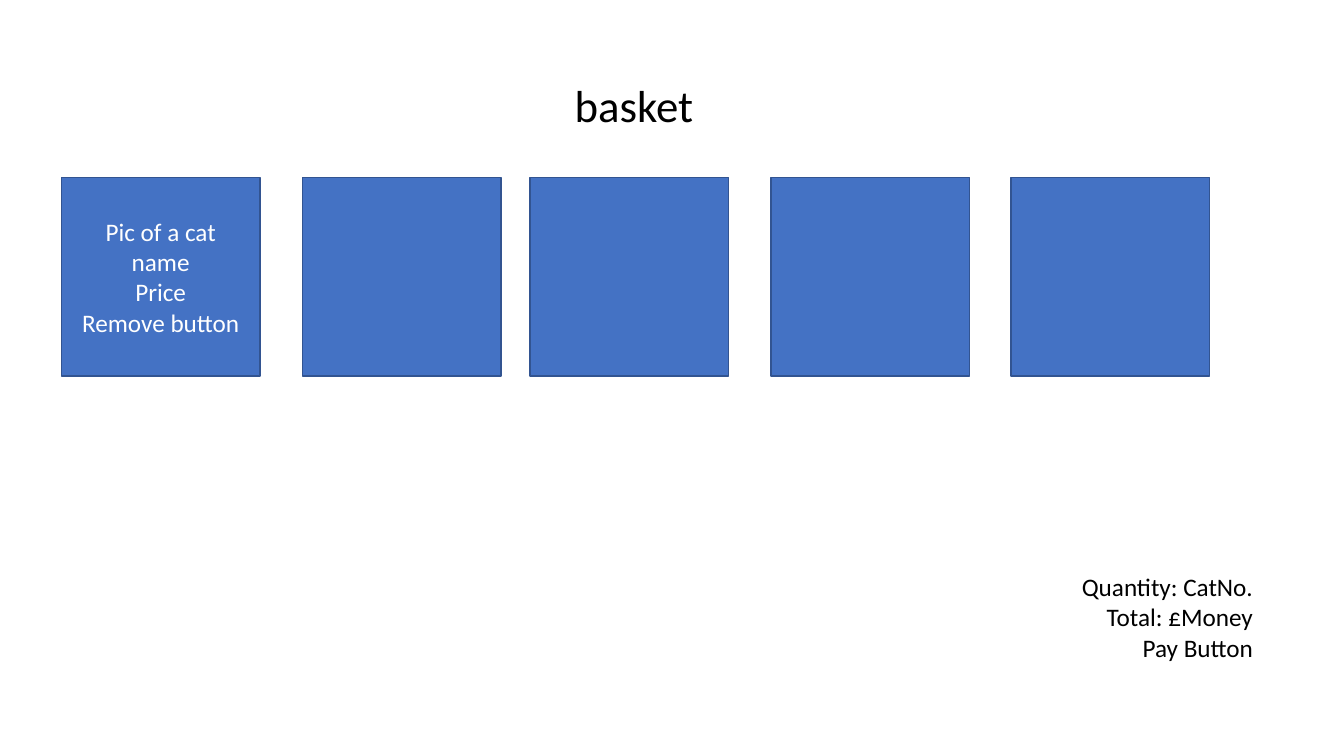
from pptx import Presentation
from pptx.dml.color import RGBColor
from pptx.enum import shapes, text
from pptx.util import Pt

FONT = "Calibri"
SIDE = 141.8
STEPS = (0, 172.1, 334.8, 506.9, 678.3)
CARD = ["Pic of a cat", "name", "Price", "Remove button"]
TOTALS = ["Quantity: CatNo.", "Total: £Money", "Pay Button"]


def color(code):
    return RGBColor.from_string(code)


def write(shape, lines, size=18, ink="000000", align="CENTER",
          anchor="TOP", grow=True):
    frame = shape.text_frame
    frame.word_wrap = True
    frame.vertical_anchor = text.MSO_ANCHOR[anchor]
    if grow:
        frame.auto_size = text.MSO_AUTO_SIZE.SHAPE_TO_FIT_TEXT
    frame.margin_left = frame.margin_right = Pt(7.2)
    frame.margin_top = frame.margin_bottom = Pt(3.6)
    frame.text = "\n".join(lines)
    for para in frame.paragraphs:
        para.alignment = text.PP_ALIGN[align]
        para.font.name = FONT
        para.font.size = Pt(size)
        para.font.color.rgb = color(ink)


def title(slide, x, y, w, h):
    head = slide.shapes.title
    head.left, head.top, head.width, head.height = map(Pt, (x, y, w, h))
    write(head, ["basket"], size=32)


def cards(slide, x, y):
    """Place the row of item cards; the first shows what a card holds."""
    group = slide.shapes.add_group_shape()
    for i, step in enumerate(STEPS):
        card = group.shapes.add_shape(
            shapes.MSO_SHAPE.RECTANGLE, Pt(x + step), Pt(y), Pt(SIDE), Pt(SIDE))
        card.shadow.inherit = False
        card.fill.solid()
        card.fill.fore_color.rgb = color("4472C4")
        card.line.color.rgb = color("325491")
        card.line.width = Pt(1)
        if i == 0:
            write(card, CARD, ink="FFFFFF", anchor="MIDDLE", grow=False)


def totals(slide, x, y, w, h):
    box = slide.shapes.add_textbox(Pt(x), Pt(y), Pt(w), Pt(h))
    write(box, TOTALS, align="RIGHT")


def main():
    deck = Presentation()
    deck.slide_width, deck.slide_height = Pt(960), Pt(540)
    slide = deck.slides.add_slide(deck.slide_layouts[5])
    title(slide, 238.3, 51.8, 429.1, 46.1)
    cards(slide, 43.9, 126.7)
    totals(slide, 419, 404.6, 483.1, 72.7)
    deck.save("out.pptx")


if __name__ == "__main__":
    main()
